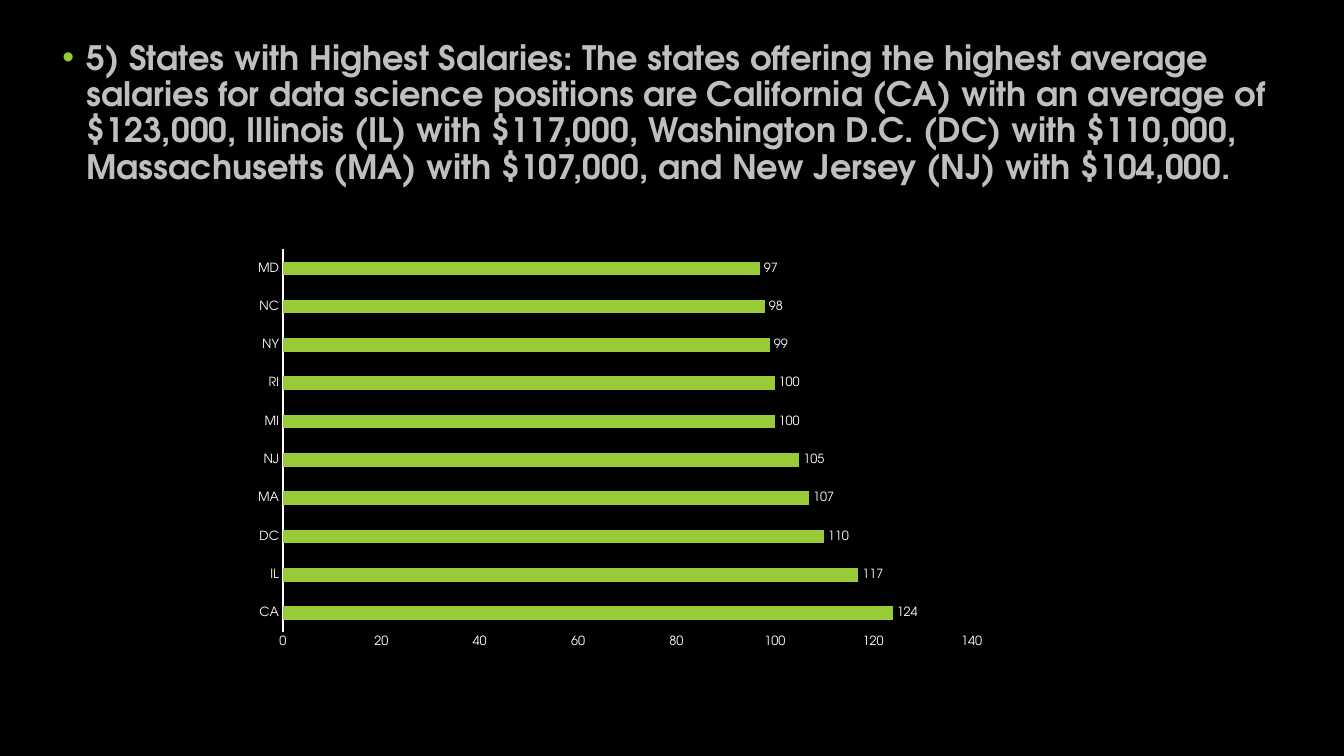
from lxml import etree
from pptx import Presentation
from pptx import util as u
from pptx.chart.data import CategoryChartData
from pptx.dml.color import RGBColor
from pptx.enum import chart as charts, text
from pptx.oxml.ns import qn

COLORS = {"background": "000000", "heading": "BFBFBF", "accent": "99CB38", "label": "FFFFFF"}
FONT = "TeX Gyre Adventor"

SUMMARY = (
    "5) States with Highest Salaries: The states offering the highest average salaries "
    "for data science positions are California (CA) with an average of $123,000, "
    "Illinois (IL) with $117,000, Washington D.C. (DC) with $110,000, "
    "Massachusetts (MA) with $107,000, and New Jersey (NJ) with $104,000."
)
SALARIES = {"CA": 124, "IL": 117, "DC": 110, "MA": 107, "NJ": 105,
            "MI": 100, "RI": 100, "NY": 99, "NC": 98, "MD": 97}


class SlideBuilder:
    def __init__(self, page):
        self.page = page
        page.background.fill.solid()
        page.background.fill.fore_color.rgb = self.color("background")

    def color(self, name):
        return RGBColor.from_string(COLORS[name])

    def style(self, font, size, color, bold=False):
        font.name = FONT
        font.size = u.Pt(size)
        font.bold = bold
        font.color.rgb = self.color(color)

    def bullet_text(self, words, left, top, width, height):
        box = self.page.shapes.add_textbox(*map(u.Inches, (left, top, width, height)))
        frame = box.text_frame
        frame.word_wrap = True
        frame.vertical_anchor = text.MSO_ANCHOR.TOP
        para = frame.paragraphs[0]
        para.text = words
        para.line_spacing = 0.9
        # Hanging bullet
        properties = para._p.get_or_add_pPr()
        properties.set("marL", str(u.Inches(0.24)))
        properties.set("indent", str(u.Inches(-0.24)))
        bullet_color = etree.SubElement(properties, qn("a:buClr"))
        etree.SubElement(bullet_color, qn("a:srgbClr"), val=COLORS["accent"])
        etree.SubElement(properties, qn("a:buFont"), typeface="Arial")
        etree.SubElement(properties, qn("a:buChar"), char="•")
        self.style(para.font, 24, "heading", bold=True)

    def bar_chart(self, values, left, top, width, height):
        data = CategoryChartData()
        data.categories = list(values)
        data.add_series("Series 1", list(values.values()))
        chart = self.page.shapes.add_chart(
            charts.XL_CHART_TYPE.BAR_CLUSTERED,
            *map(u.Inches, (left, top, width, height)), data).chart
        chart.has_legend = False
        chart.has_title = False
        self.style(chart.font, 10, "label")

        # Axes
        for axis in (chart.category_axis, chart.value_axis):
            axis.has_major_gridlines = False
            axis.major_tick_mark = charts.XL_TICK_MARK.NONE
            axis.minor_tick_mark = charts.XL_TICK_MARK.NONE
            self.style(axis.tick_labels.font, 9, "label")
        axis_line = chart.category_axis.format.line
        axis_line.color.rgb = self.color("label")
        axis_line.width = u.Pt(0.75)
        chart.value_axis.format.line.fill.background()
        chart.value_axis.minimum_scale = 0
        chart.value_axis.maximum_scale = 140
        chart.value_axis.major_unit = 20

        # Bars and value labels
        plot = chart.plots[0]
        plot.gap_width = 182
        plot.vary_by_categories = False
        bars = plot.series[0]
        bars.format.fill.solid()
        bars.format.fill.fore_color.rgb = self.color("accent")
        labels = bars.data_labels
        labels.show_value = True
        labels.position = charts.XL_LABEL_POSITION.OUTSIDE_END
        labels.number_format = "0"
        labels.number_format_is_linked = False
        self.style(labels.font, 9, "label")


def main():
    deck = Presentation()
    deck.slide_width = u.Inches(13.33)
    deck.slide_height = u.Inches(7.5)
    builder = SlideBuilder(deck.slides.add_slide(deck.slide_layouts[6]))

    # Summary
    builder.bullet_text(SUMMARY, 0.52, 0.36, 12.6, 2.05)

    # Average salary by state, in thousands
    builder.bar_chart(SALARIES, 2.41, 2.39, 7.48, 4.12)

    deck.save("out.pptx")


if __name__ == "__main__":
    main()
